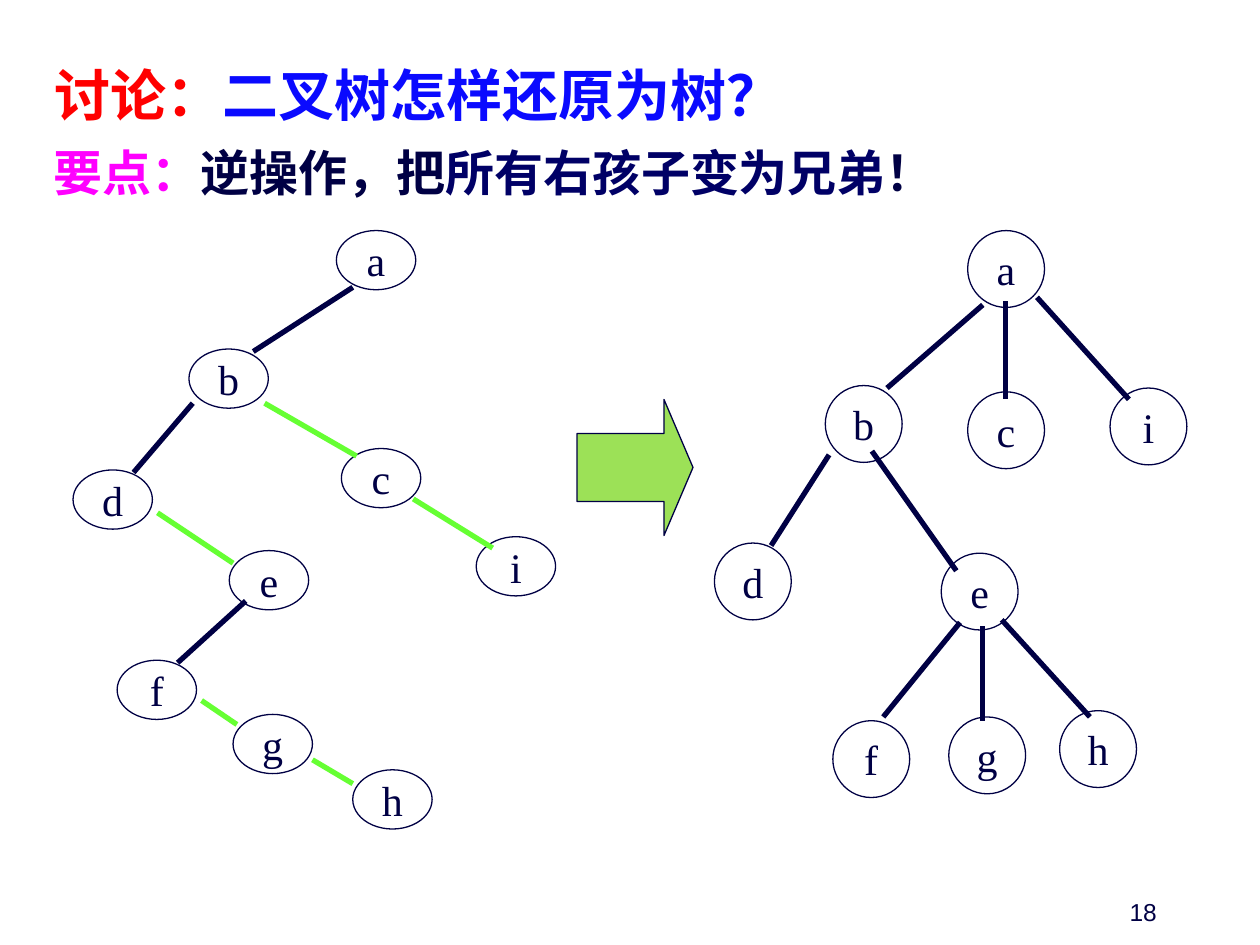
from lxml import etree
from pptx import Presentation
from pptx.dml.color import RGBColor
from pptx.enum.shapes import MSO_CONNECTOR, MSO_SHAPE
from pptx.enum.text import MSO_ANCHOR, MSO_AUTO_SIZE, PP_ALIGN
from pptx.oxml.ns import qn
from pptx.util import Inches, Pt

OVAL, RIGHT_ARROW = MSO_SHAPE.OVAL, MSO_SHAPE.RIGHT_ARROW
STRAIGHT = MSO_CONNECTOR.STRAIGHT
TOP, MIDDLE, BOTTOM = MSO_ANCHOR.TOP, MSO_ANCHOR.MIDDLE, MSO_ANCHOR.BOTTOM
LEFT, CENTER, RIGHT = PP_ALIGN.LEFT, PP_ALIGN.CENTER, PP_ALIGN.RIGHT
NO_AUTO_SIZE = MSO_AUTO_SIZE.NONE

THEME = {
    "ink": "000044", "navy": "000066", "blue": "0A0AFF", "red": "FF0000",
    "magenta": "FF00FF", "sibling": "66FF33", "arrow": "9CE157", "white": "FFFFFF",
    "heading_font": "Noto Sans CJK SC", "node_font": "Times New Roman",
    "number_font": "Arial",
    "title_size": 32, "point_size": 28, "node_size": 24, "number_size": 14,
    "outline": 0.75, "edge": 3,
}

TITLE = [("讨论：", "red"), ("二叉树怎样还原为树？", "blue")]
KEY_POINT = [("要点：", "magenta"), ("逆操作，把", "ink"),
             ("所有右孩子变为兄弟", "navy"), ("！", "ink")]
SLIDE_NUMBER = [("18", "ink")]

# Nodes: label -> left, top. Edges: start x, start y, end x, end y.
BINARY_TREE = {
    "node_size": (0.63, 0.47),
    "fill": None,
    "nodes": {"a": (2.67, 1.83), "b": (1.5, 2.77), "c": (2.71, 3.56),
              "d": (0.58, 3.73), "e": (1.82, 4.37), "f": (0.93, 5.24),
              "g": (1.85, 5.67), "h": (2.8, 6.11), "i": (3.78, 4.26)},
    "edges": {
        "ink": [(2.8, 2.28, 2.01, 2.79), (1.53, 3.2, 1.06, 3.75),
                (1.95, 4.77, 1.41, 5.26)],
        "sibling": [(2.1, 3.2, 2.83, 3.62), (3.28, 3.96, 3.91, 4.35),
                    (1.25, 4.07, 1.85, 4.47), (1.6, 5.56, 1.88, 5.75),
                    (2.48, 6.03, 2.8, 6.22)],
    },
}
RESTORED_TREE = {
    "node_size": (0.61, 0.61),
    "fill": "white",
    "nodes": {"a": (7.68, 1.83), "b": (6.55, 3.06), "c": (7.68, 3.11),
              "i": (8.81, 3.08), "d": (5.67, 4.31), "e": (7.47, 4.39),
              "f": (6.61, 5.72), "g": (7.53, 5.69), "h": (8.41, 5.64)},
    "edges": {
        "ink": [(7.8, 2.42, 7.04, 3.08), (7.98, 2.39, 7.98, 3.17),
                (8.23, 2.36, 8.96, 3.17), (6.58, 3.61, 6.12, 4.33),
                (6.92, 3.58, 7.59, 4.53), (7.62, 4.94, 7.01, 5.69),
                (7.8, 4.97, 7.8, 5.72), (7.95, 4.92, 8.65, 5.69)],
    },
}


def color(name):
    return RGBColor.from_string(THEME[name])


def write(shape, runs, style, anchor, alignment, bold=False, wrap=True):
    """Fill a shape with one paragraph; style names its theme font and size."""
    font_name = THEME[style["font"]]
    frame = shape.text_frame
    frame_format = {
        "auto_size": NO_AUTO_SIZE, "word_wrap": wrap, "vertical_anchor": anchor,
        "margin_left": Inches(0.1), "margin_right": Inches(0.1),
        "margin_top": Inches(0.05), "margin_bottom": Inches(0.05),
    }
    for name, value in frame_format.items():
        setattr(frame, name, value)
    paragraph = frame.paragraphs[0]
    paragraph.alignment = alignment
    font_format = {"name": font_name, "size": Pt(THEME[style["size"]]), "bold": bold}
    for text, color_name in runs:
        run = paragraph.add_run()
        run.text = text
        for name, value in font_format.items():
            setattr(run.font, name, value)
        run.font.color.rgb = color(color_name)
        latin = run.font._element.find(qn("a:latin"))
        east_asian = etree.Element(qn("a:ea"), typeface=font_name)
        latin.addnext(east_asian)


def place(shape, *box):
    for name, value in zip(("left", "top", "width", "height"), box):
        setattr(shape, name, Inches(value))


def add_outlined(shapes, kind, box, fill):
    shape = shapes.add_shape(kind, *map(Inches, box))
    shape.shadow.inherit = False
    if fill:
        shape.fill.solid()
        shape.fill.fore_color.rgb = color(fill)
    else:
        shape.fill.background()
    shape.line.color.rgb = color("ink")
    shape.line.width = Pt(THEME["outline"])
    return shape


def add_edge(shapes, ends, color_name):
    edge = shapes.add_connector(STRAIGHT, *map(Inches, ends))
    edge.line.color.rgb = color(color_name)
    edge.line.width = Pt(THEME["edge"])
    etree.SubElement(edge._element.spPr, qn("a:effectLst"))


def add_tree(slide, tree):
    shapes = slide.shapes.add_group_shape().shapes
    style = {"font": "node_font", "size": "node_size"}
    for label, position in tree["nodes"].items():
        node = add_outlined(shapes, OVAL, position + tree["node_size"], tree["fill"])
        write(node, [(label, "ink")], style, MIDDLE, CENTER, wrap=False)
    for color_name, edges in tree["edges"].items():
        for ends in edges:
            add_edge(shapes, ends, color_name)


def main():
    presentation = Presentation()
    presentation.slide_width, presentation.slide_height = Inches(10), Inches(7.5)
    slide = presentation.slides.add_slide(presentation.slide_layouts[5])
    slide.background.fill.solid()
    slide.background.fill.fore_color.rgb = color("white")

    title = slide.shapes.title
    place(title, 0.33, 0.43, 6.92, 0.63)
    write(title, TITLE, {"font": "heading_font", "size": "title_size"},
          MIDDLE, LEFT, bold=True)

    add_tree(slide, BINARY_TREE)

    key_point = slide.shapes.add_textbox(*map(Inches, (0.33, 1.08, 7.25, 0.64)))
    write(key_point, KEY_POINT, {"font": "heading_font", "size": "point_size"},
          TOP, LEFT, bold=True)

    add_tree(slide, RESTORED_TREE)

    arrow = add_outlined(slide.shapes, RIGHT_ARROW, (4.58, 3.17, 0.92, 1.08), "arrow")
    arrow.adjustments[0], arrow.adjustments[1] = 0.5, 0.25

    number = slide.shapes.add_textbox(*map(Inches, (7.2, 6.9, 2.08, 0.5)))
    write(number, SLIDE_NUMBER, {"font": "number_font", "size": "number_size"},
          BOTTOM, RIGHT)

    presentation.save("out.pptx")


if __name__ == "__main__":
    main()
